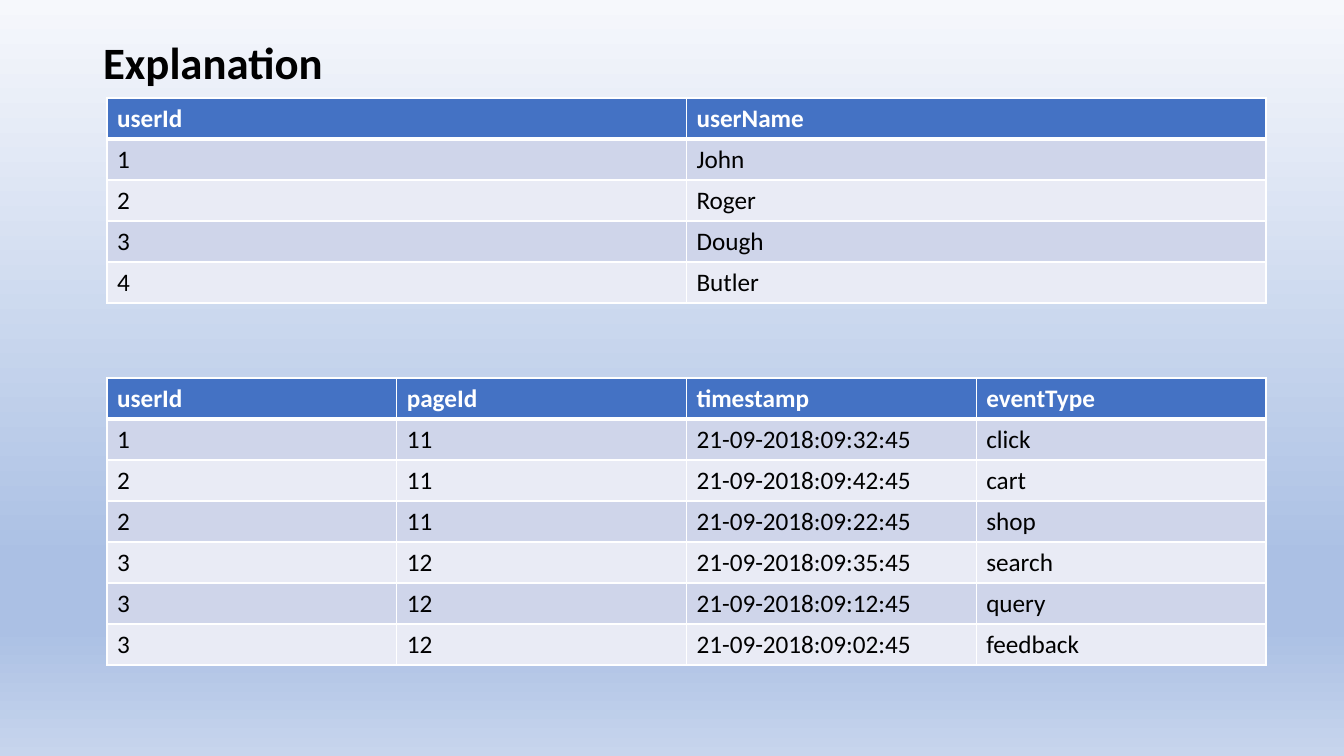
from lxml.etree import SubElement
from pptx import Presentation
from pptx.dml.color import RGBColor
from pptx.enum.text import MSO_ANCHOR as Anchor, MSO_AUTO_SIZE as AutoSize, PP_ALIGN as Align
from pptx.oxml.ns import qn
from pptx.util import Emu, Pt

PX = 914400 / 100.8
FONT = "Calibri"
BLACK = RGBColor(0x00, 0x00, 0x00)
WHITE = RGBColor(0xFF, 0xFF, 0xFF)
HEADER_BLUE = RGBColor(0x44, 0x72, 0xC4)
BANDS = [RGBColor(0xCF, 0xD5, 0xEA), RGBColor(0xE9, 0xEB, 0xF5)]
BACKGROUND_STOPS = [
    (0, RGBColor(0xF6, 0xF8, 0xFC)),
    (74, RGBColor(0xAB, 0xC0, 0xE4)),
    (83, RGBColor(0xAB, 0xC0, 0xE4)),
    (100, RGBColor(0xC7, 0xD5, 0xED)),
]

TABLE_LEFT, TABLE_WIDTH, ROW_HEIGHT = 107, 1159, 41
USERS = [
    ("userId", "userName"),
    ("1", "John"),
    ("2", "Roger"),
    ("3", "Dough"),
    ("4", "Butler"),
]
EVENTS = [
    ("userId", "pageId", "timestamp", "eventType"),
    ("1", "11", "21-09-2018:09:32:45", "click"),
    ("2", "11", "21-09-2018:09:42:45", "cart"),
    ("2", "11", "21-09-2018:09:22:45", "shop"),
    ("3", "12", "21-09-2018:09:35:45", "search"),
    ("3", "12", "21-09-2018:09:12:45", "query"),
    ("3", "12", "21-09-2018:09:02:45", "feedback"),
]


def px(length):
    return Emu(round(length * PX))


def add_run(paragraph, text, size, color, bold):
    run = paragraph.add_run()
    run.text = text
    run.font.name = FONT
    run.font.size = Pt(size)
    run.font.bold = bold
    run.font.color.rgb = color


def set_background(slide):
    fill = slide.background.fill
    fill.gradient()
    fill.gradient_angle = 270
    stops = next(slide.element.iter(qn("a:gsLst")))
    stops.clear()
    for percent, color in BACKGROUND_STOPS:
        stop = SubElement(stops, qn("a:gs"), pos=str(percent * 1000))
        SubElement(stop, qn("a:srgbClr"), val=str(color))


def set_title(slide, text):
    title = slide.shapes.title
    title.left, title.top, title.width, title.height = map(px, (93, 40, 1159, 50))
    frame = title.text_frame
    frame.auto_size = AutoSize.NONE
    frame.vertical_anchor = Anchor.MIDDLE
    paragraph = frame.paragraphs[0]
    paragraph.alignment = Align.LEFT
    paragraph.line_spacing = 0.9
    add_run(paragraph, text, 32, BLACK, True)


def set_borders(cell, top, bottom):
    properties = cell._tc.get_or_add_tcPr()
    for side, points in (("L", 1), ("R", 1), ("T", top), ("B", bottom)):
        line = SubElement(properties, qn(f"a:ln{side}"), w=str(Pt(points)))
        fill = SubElement(line, qn("a:solidFill"))
        SubElement(fill, qn("a:srgbClr"), val=str(WHITE))


def add_data_table(slide, top, rows):
    columns = len(rows[0])
    table = slide.shapes.add_table(
        len(rows), columns, px(TABLE_LEFT), px(top),
        px(TABLE_WIDTH), px(ROW_HEIGHT * len(rows))).table
    for column in table.columns:
        column.width = px(TABLE_WIDTH / columns)
    for row_index, values in enumerate(rows):
        table.rows[row_index].height = px(ROW_HEIGHT)
        is_header = row_index == 0
        for column_index, value in enumerate(values):
            cell = table.cell(row_index, column_index)
            # The rule under the header is thicker than the rest
            set_borders(cell, 3 if row_index == 1 else 1, 3 if is_header else 1)
            cell.fill.solid()
            cell.fill.fore_color.rgb = HEADER_BLUE if is_header else BANDS[(row_index - 1) % 2]
            add_run(cell.text_frame.paragraphs[0], value, 18,
                    WHITE if is_header else BLACK, is_header)


def main():
    presentation = Presentation()
    presentation.slide_width, presentation.slide_height = px(1344), px(756)
    slide = presentation.slides.add_slide(presentation.slide_layouts.get_by_name("Title Only"))

    # Background and heading
    set_background(slide)
    set_title(slide, "Explanation")

    # Users above, their events below
    add_data_table(slide, 98, USERS)
    add_data_table(slide, 378, EVENTS)

    presentation.save("out.pptx")


if __name__ == "__main__":
    main()
